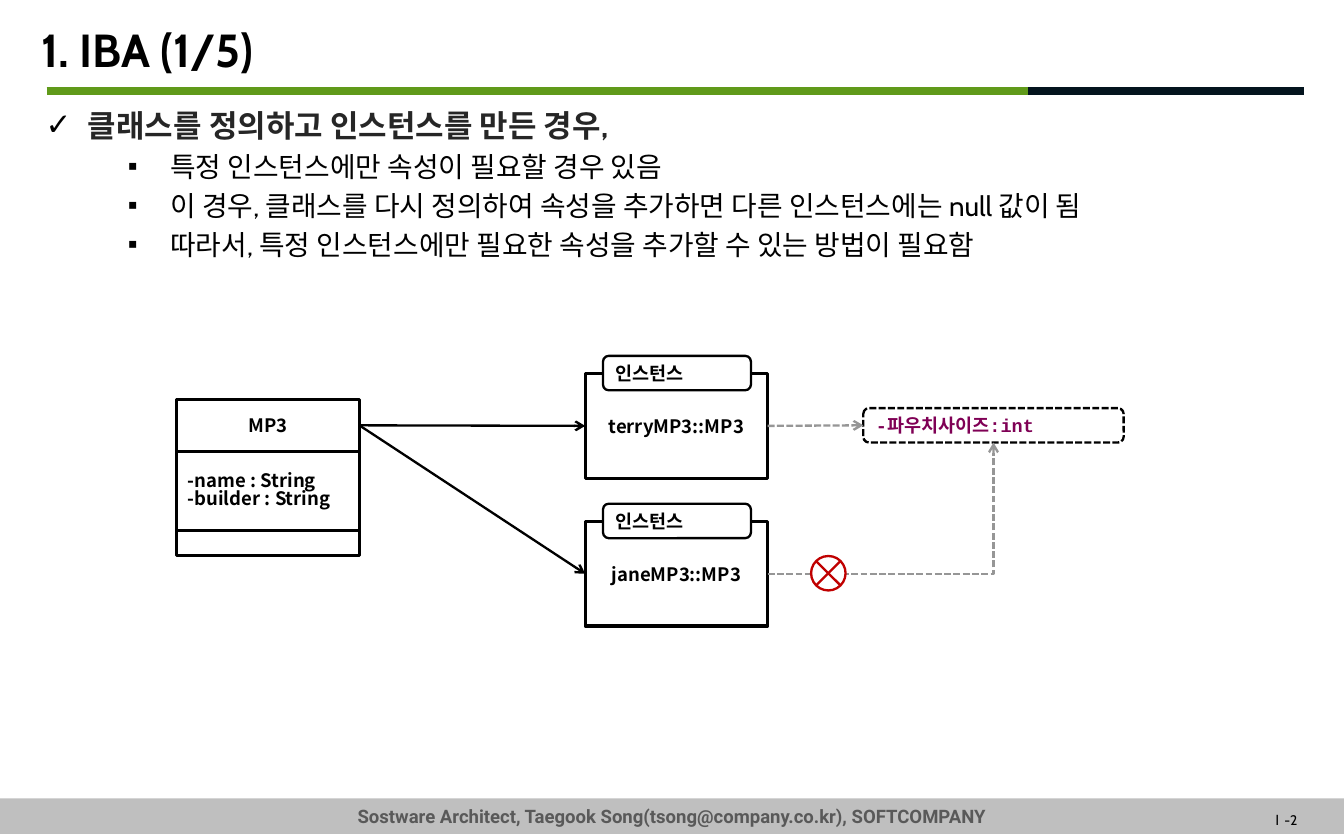
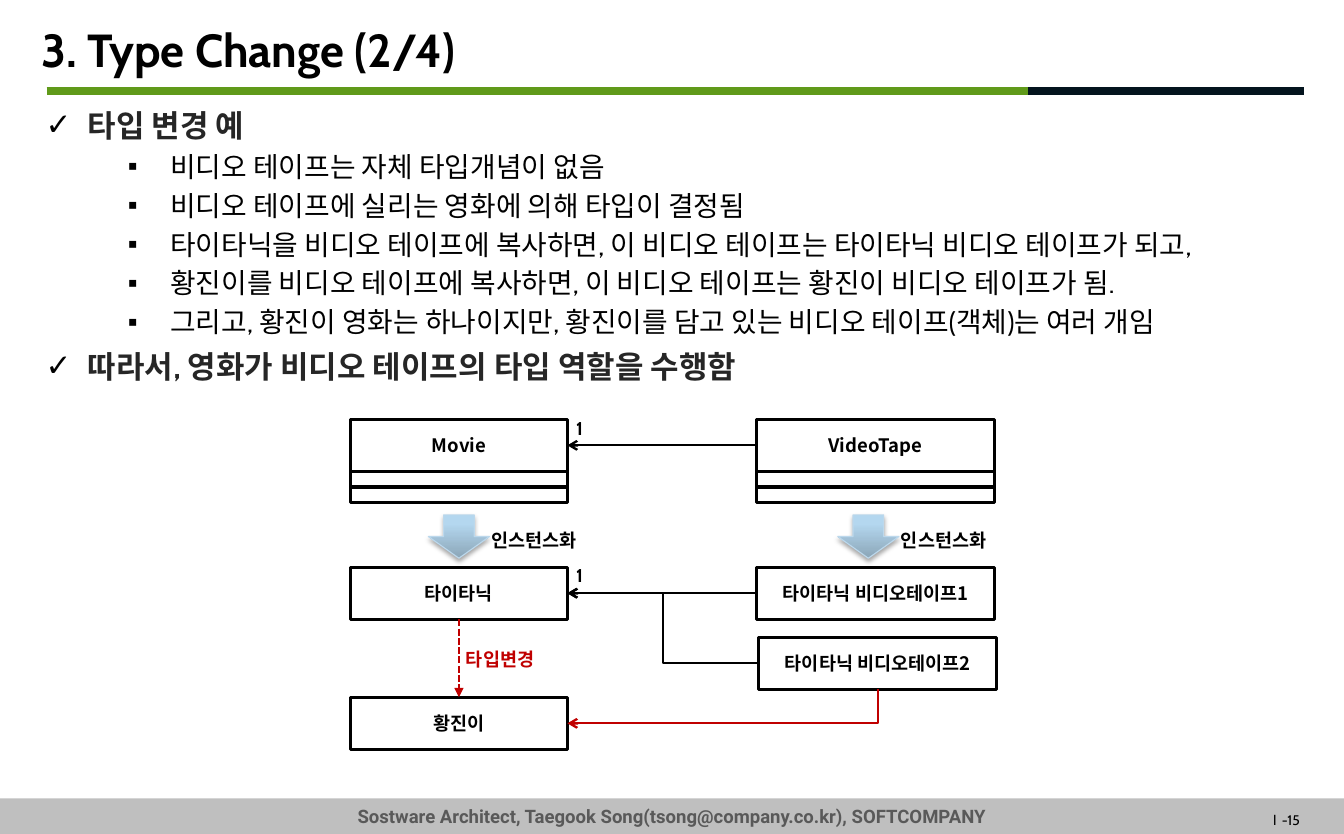
from lxml.etree import SubElement
from pptx import Presentation
from pptx.dml.color import RGBColor
from pptx.enum.dml import MSO_LINE
from pptx.enum.shapes import MSO_CONNECTOR, MSO_SHAPE
from pptx.enum.text import MSO_ANCHOR, MSO_AUTO_SIZE, PP_ALIGN
from pptx.oxml.ns import qn
from pptx.util import Inches, Pt

RECT, ROUND = MSO_SHAPE.RECTANGLE, MSO_SHAPE.ROUNDED_RECTANGLE
DOWN, CROSS = MSO_SHAPE.DOWN_ARROW, MSO_SHAPE.FLOWCHART_SUMMING_JUNCTION
LEFT, CENTER = PP_ALIGN.LEFT, PP_ALIGN.CENTER
TOP, MIDDLE = MSO_ANCHOR.TOP, MSO_ANCHOR.MIDDLE
STRAIGHT, ELBOW = MSO_CONNECTOR.STRAIGHT, MSO_CONNECTOR.ELBOW
DASH = MSO_LINE.SQUARE_DOT
NORTH, WEST, SOUTH, EAST = range(4)

COLORS = {
    "black": "000000", "white": "FFFFFF", "head": "262626", "band": "BFBFBF",
    "foot": "595959", "green": "609A1A", "navy": "04141E", "gray": "969696",
    "red": "C00000", "plum": "7F0055", "steel": "8BA6B8", "sky": "B4D7EF",
    "edge": "BCD8EC",
}
SANS, NOTO, MONO, FOOT = "Cabin", "Noto Sans CJK KR", "Courier New", "Roboto"
COLS, ROWS = 120.8, 75
CELL = Inches(0.1)
NAME = 4.7


def cells(*counts):
    return [round(count * CELL) for count in counts]


def color(name):
    return RGBColor.from_string(COLORS[name])


def write(para, words, size=12, font=NOTO, ink="black", bold=True,
          align=LEFT, before=0, pitch=None):
    para.alignment = align
    para.space_before = Pt(before)
    if pitch:
        para.line_spacing = pitch
    run = para.add_run()
    run.text = words
    run.font.size = Pt(size)
    run.font.name = font
    run.font.bold = bold
    run.font.color.rgb = color(ink)
    SubElement(run._r.get_or_add_rPr(), qn("a:ea"), typeface=font)


def fill(frame, lines, anchor=MIDDLE, **style):
    frame.word_wrap = True
    frame.vertical_anchor = anchor
    for index, words in enumerate(lines):
        para = frame.add_paragraph() if index else frame.paragraphs[0]
        write(para, words, **style)


def shape(slide, kind, spot, paint="white", edge="black", width=2,
          dash=None, lines=(), **style):
    item = slide.shapes.add_shape(kind, *cells(*spot))
    item.shadow.inherit = False
    item.fill.solid()
    item.fill.fore_color.rgb = color(paint)
    if edge:
        item.line.color.rgb = color(edge)
        item.line.width = Pt(width)
        item.line.dash_style = dash
    else:
        item.line.fill.background()
    fill(item.text_frame, lines, **style)
    return item


def label(slide, spot, words, **style):
    box = slide.shapes.add_textbox(*cells(*spot))
    fill(box.text_frame, [words], anchor=TOP, **style)
    return box


def stroke(slide, kind, ends, ink, width, dash=None):
    line = slide.shapes.add_connector(kind, *cells(*ends))
    line.line.color.rgb = color(ink)
    line.line.width = Pt(width)
    line.line.dash_style = dash
    SubElement(line._element.spPr, qn("a:effectLst"))
    return line


def link(slide, start, end, kind=STRAIGHT, ink="black", dash=None,
         tip="arrow", mark="tailEnd", corner=False):
    line = stroke(slide, kind, (0, 0, 0, 0), ink, 1.5, dash)
    line.begin_connect(*start)
    line.end_connect(*end)
    SubElement(line.line._get_or_add_ln(), qn("a:" + mark), type=tip)
    if corner:
        line._element.spPr.find(qn("a:prstGeom")).set("prst", "bentConnector2")
    return line


def bullet(para, sign, margin):
    props = para._p.get_or_add_pPr()
    props.set("marL", str(Inches(margin)))
    props.set("indent", str(-Inches(0.38)))
    paint = SubElement(props, qn("a:buClr"))
    SubElement(paint, qn("a:srgbClr"), val=COLORS["black"])
    SubElement(props, qn("a:buChar"), char=sign)


def place(holder, spot):
    holder.left, holder.top, holder.width, holder.height = cells(*spot)
    holder.text_frame.auto_size = MSO_AUTO_SIZE.NONE


def outline(body, items):
    frame = body.text_frame
    frame.margin_left = frame.margin_right = Inches(0.04)
    frame.vertical_anchor = TOP
    for index, (level, words) in enumerate(items):
        para = frame.add_paragraph() if index else frame.paragraphs[0]
        para.level = level
        if level:
            bullet(para, "▪", 1.12)
            write(para, words, size=18, font=SANS, bold=False, before=3.6)
        else:
            bullet(para, "✓", 0.38)
            write(para, words, size=20, font=SANS, ink="head",
                  before=6 if index else 0)


def page(deck, title, number, items, height):
    slide = deck.slides.add_slide(deck.slide_layouts[1])
    shape(slide, RECT, (0, 71.8, COLS, ROWS - 71.8), "band", None,
          lines=["Sostware Architect, Taegook Song(tsong@company.co.kr), SOFTCOMPANY"],
          font=FOOT, ink="foot", align=CENTER)
    mark = label(slide, (110, 72.4, 10.8, 2.6), "Ⅰ", size=9, bold=False,
                 align=CENTER, pitch=1.05)
    write(mark.text_frame.paragraphs[0], f"-{number}", size=9, font=SANS,
          bold=False, align=CENTER)
    stroke(slide, STRAIGHT, (4.2, 8.2, 96.4, 8.2), "green", 5)
    stroke(slide, STRAIGHT, (92.4, 8.2, 117.2, 8.2), "navy", 5)
    head, body = slide.shapes.title, slide.placeholders[1]
    place(head, (3.7, 1.3, 113.2, 6.3))
    frame = head.text_frame
    frame.margin_left = frame.margin_right = 0
    frame.margin_top = frame.margin_bottom = 0
    fill(frame, [title], size=30, font=SANS)
    place(body, (3.7, 9.1, 114, height))
    outline(body, items)
    return slide


def node(slide, col, row, width, name, height=NAME):
    return shape(slide, RECT, (col, row, width, height), lines=[name],
                 align=CENTER)


def model(slide, col, row, width, name, parts):
    top = node(slide, col, row, width, name)
    row += NAME
    for height, lines in parts:
        shape(slide, RECT, (col, row, width, height), lines=lines, pitch=0.82)
        row += height
    return top


def object_box(slide, col, row, name):
    box = node(slide, col, row, 16.4, name, 9.4)
    shape(slide, ROUND, (col + 1.6, row - 1.6, 13.3, 3.1), width=1.5,
          lines=["인스턴스"], font=MONO)
    return box


def drop(slide, col, row):
    arrow = shape(slide, DOWN, (col, row, 5.5, 3.9), edge="edge", width=0.75)
    arrow.fill.gradient()
    arrow.fill.gradient_angle = 90
    stops = arrow.fill.gradient_stops
    for stop, ink, share in zip(stops, ("steel", "sky"), (0, 0.8)):
        stop.color.rgb = color(ink)
        stop.position = share
    effects = arrow._element.spPr.find(qn("a:effectLst"))
    shade = SubElement(effects, qn("a:outerShdw"), blurRad=str(Pt(3.1)),
                       dist=str(Pt(1.8)), dir="5400000", rotWithShape="0")
    tint = SubElement(shade, qn("a:srgbClr"), val=COLORS["black"])
    SubElement(tint, qn("a:alpha"), val="35000")
    label(slide, (col + 4.7, row + 0.8, 11.7, 3), "인스턴스화")


def iba(deck):
    slide = page(deck, "1. IBA (1/5)", 2, [
        (0, "클래스를 정의하고 인스턴스를 만든 경우,"),
        (1, "특정 인스턴스에만 속성이 필요할 경우 있음"),
        (1, "이 경우, 클래스를 다시 정의하여 속성을 추가하면 다른 인스턴스에는 null 값이 됨"),
        (1, "따라서, 특정 인스턴스에만 필요한 속성을 추가할 수 있는 방법이 필요함"),
    ], 15.3)
    player = model(slide, 15.9, 35.9, 16.4, "MP3", [
        (7.1, ["-name : String", "-builder : String"]), (2.3, [])])
    pouch = shape(slide, ROUND, (77.6, 36.7, 23.4, 3.1), width=1.5, dash=DASH,
                  lines=["-파우치사이즈:int"], font=MONO, ink="plum")
    terry = object_box(slide, 52.6, 33.6, "terryMP3::MP3")
    jane = object_box(slide, 52.6, 46.9, "janeMP3::MP3")
    for box in (terry, jane):
        link(slide, (player, EAST), (box, WEST))
    link(slide, (terry, EAST), (pouch, WEST), ink="gray", dash=DASH)
    link(slide, (jane, EAST), (pouch, SOUTH), ELBOW, "gray", DASH, corner=True)
    shape(slide, CROSS, (72.9, 50, 3.1, 3.1), edge="red", width=1.5)


def change(deck):
    slide = page(deck, "3. Type Change (2/4)", 15, [
        (0, "타입 변경 예"),
        (1, "비디오 테이프는 자체 타입개념이 없음"),
        (1, "비디오 테이프에 실리는 영화에 의해 타입이 결정됨"),
        (1, "타이타닉을 비디오 테이프에 복사하면, 이 비디오 테이프는 타이타닉 비디오 테이프가 되고,"),
        (1, "황진이를 비디오 테이프에 복사하면, 이 비디오 테이프는 황진이 비디오 테이프가 됨."),
        (1, "그리고, 황진이 영화는 하나이지만, 황진이를 담고 있는 비디오 테이프(객체)는 여러 개임"),
        (0, "따라서, 영화가 비디오 테이프의 타입 역할을 수행함"),
    ], 26.8)
    left, right, slim, wide = 31.5, 68, 19.5, 21.4
    bare = [(1.4, [])] * 2
    movie = model(slide, left, 37.7, slim, "Movie", bare)
    video = model(slide, right, 37.7, wide, "VideoTape", bare)
    ship = node(slide, left, 51, slim, "타이타닉")
    first = node(slide, right, 51, wide, "타이타닉 비디오테이프1")
    second = node(slide, right + 0.2, 57.3, wide, "타이타닉 비디오테이프2")
    dancer = node(slide, left, 62.7, slim, "황진이")
    link(slide, (video, WEST), (movie, EAST))
    link(slide, (first, WEST), (ship, EAST))
    link(slide, (second, WEST), (ship, EAST), ELBOW)
    link(slide, (dancer, EAST), (second, SOUTH), ELBOW, "red",
         mark="headEnd", corner=True)
    link(slide, (ship, SOUTH), (dancer, NORTH), ink="red", dash=DASH,
         tip="triangle")
    for row in (37, 50.2):
        label(slide, (50.8, row, 4.7, 3), "1", font=SANS)
    for col in (38.5, 75.3):
        drop(slide, col, 46.3)
    label(slide, (40.9, 57.8, 9.4, 3), "타입변경", font=SANS, ink="red")


def main():
    deck = Presentation()
    deck.slide_width, deck.slide_height = cells(COLS, ROWS)
    iba(deck)
    change(deck)
    deck.save("out.pptx")


if __name__ == "__main__":
    main()
